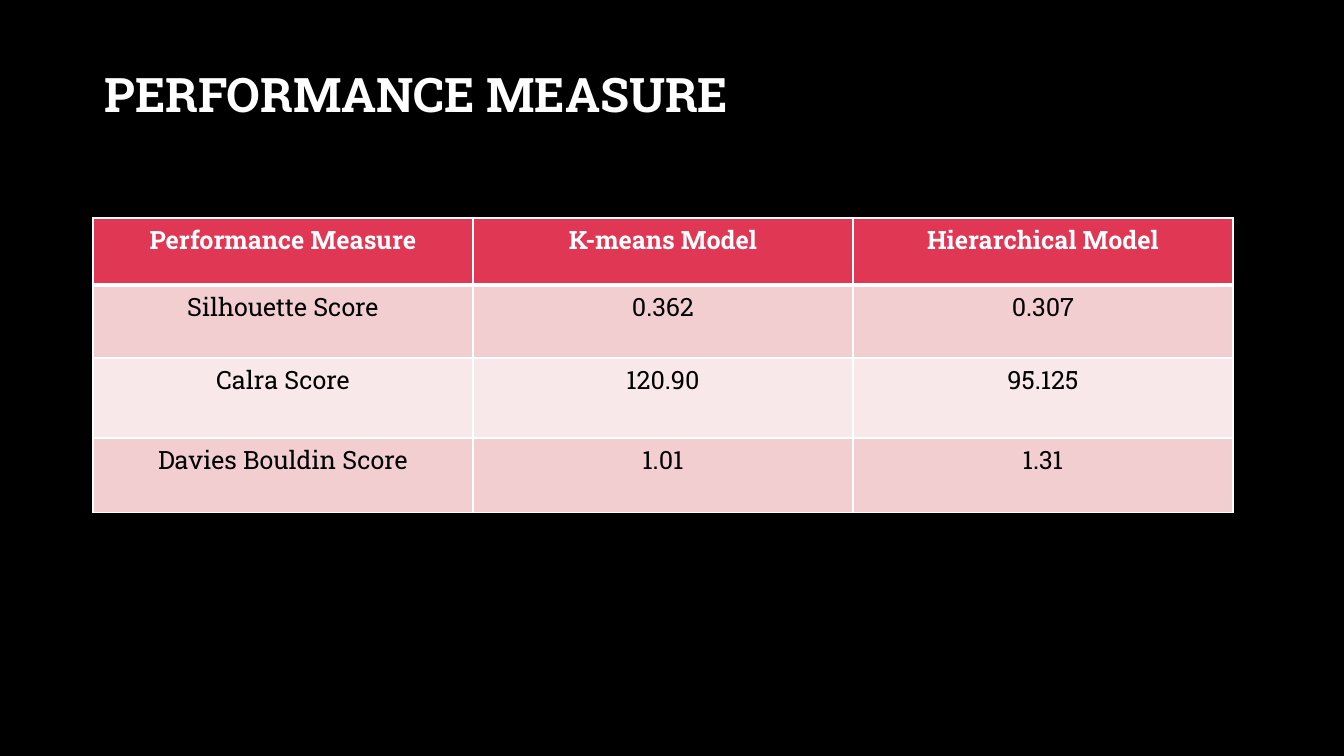
import pptx
import pptx.dml.color
import pptx.enum.text
import pptx.oxml
import pptx.oxml.ns
import pptx.util

PX = 914400 / 100.8
FONT = "Roboto Slab"
COLORS = {
    "background": "000000",
    "title": "FFFFFF",
    "border": "FFFFFF",
    "header": "E03754",
    "header text": "FFFFFF",
    "odd row": "F3CED1",
    "even row": "F9E8E9",
    "body text": "000000",
}
SCORES = [
    ["Performance Measure", "K-means Model", "Hierarchical Model"],
    ["Silhouette Score", "0.362", "0.307"],
    ["Calra Score", "120.90", "95.125"],
    ["Davies Bouldin Score", "1.01", "1.31"],
]
COLUMN_WIDTH = 380
ROW_HEIGHTS = [67, 73, 80, 75]


def px(*lengths):
    return [pptx.util.Emu(round(length * PX)) for length in lengths]


def style_paragraph(paragraph, size, color, bold):
    paragraph.alignment = pptx.enum.text.PP_ALIGN.CENTER
    paragraph.font.name = FONT
    paragraph.font.size = pptx.util.Pt(size)
    paragraph.font.bold = bold
    paragraph.font.color.rgb = pptx.dml.color.RGBColor.from_string(COLORS[color])


presentation = pptx.Presentation()
presentation.slide_width, presentation.slide_height = px(1344, 756)
slide = presentation.slides.add_slide(presentation.slide_layouts[5])
slide.background.fill.solid()
slide.background.fill.fore_color.rgb = pptx.dml.color.RGBColor.from_string(COLORS["background"])

title = slide.shapes.title
title.left, title.top, title.width, title.height = px(71, 24, 691, 146)
title.text_frame.text = "PERFORMANCE MEASURE"
title.text_frame.vertical_anchor = pptx.enum.text.MSO_ANCHOR.MIDDLE
title.text_frame.paragraphs[0].line_spacing = 0.9
style_paragraph(title.text_frame.paragraphs[0], 34, "title", True)

column_count = len(SCORES[0])
table = slide.shapes.add_table(
    len(SCORES), column_count, *px(93, 218, COLUMN_WIDTH * column_count, sum(ROW_HEIGHTS))
).table
for column in table.columns:
    column.width = px(COLUMN_WIDTH)[0]

for row_index, (values, height) in enumerate(zip(SCORES, ROW_HEIGHTS)):
    table.rows[row_index].height = px(height)[0]
    is_header = row_index == 0
    fill_name = "header" if is_header else "odd row" if row_index % 2 else "even row"
    text_name = "header text" if is_header else "body text"
    border_widths = {
        "lnL": 1,
        "lnR": 1,
        "lnT": 3 if row_index == 1 else 1,
        "lnB": 3 if is_header else 1,
    }
    for column_index, value in enumerate(values):
        cell = table.cell(row_index, column_index)
        cell.text = value
        style_paragraph(cell.text_frame.paragraphs[0], 18, text_name, is_header)
        cell_properties = cell._tc.get_or_add_tcPr()
        for side, width in border_widths.items():
            cell_properties.append(pptx.oxml.parse_xml(
                f'<a:{side} {pptx.oxml.ns.nsdecls("a")} w="{pptx.util.Pt(width)}">'
                f'<a:solidFill><a:srgbClr val="{COLORS["border"]}"/></a:solidFill></a:{side}>'
            ))
        cell.fill.solid()
        cell.fill.fore_color.rgb = pptx.dml.color.RGBColor.from_string(COLORS[fill_name])

presentation.save("out.pptx")
